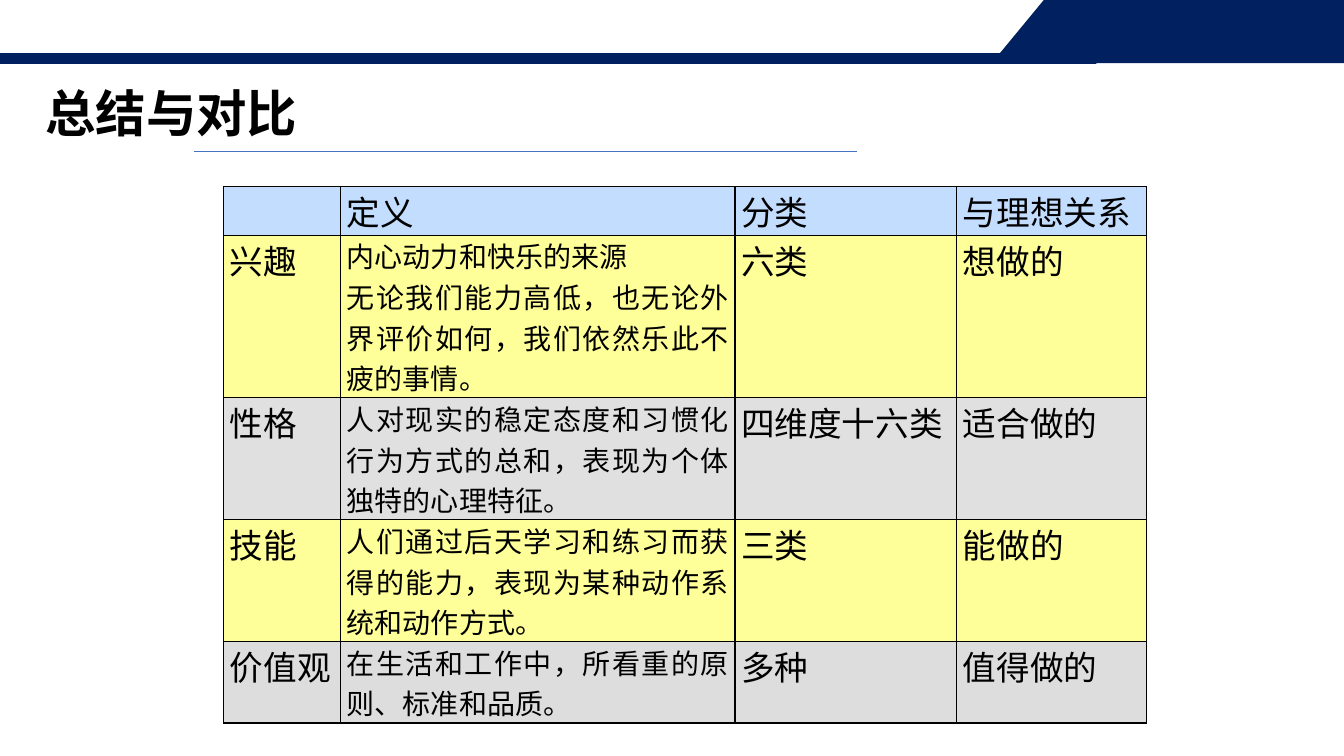
"""Build the summary slide comparing interest, character, skill and values."""
import pptx
import pptx.dml.color
import pptx.enum.shapes
import pptx.enum.text
import pptx.oxml
import pptx.oxml.ns
import pptx.util
from lxml import etree

Inches = pptx.util.Inches
Pt = pptx.util.Pt
RGBColor = pptx.dml.color.RGBColor
qn = pptx.oxml.ns.qn

NAVY = RGBColor(0x00, 0x20, 0x60)
BLUE = RGBColor(0x44, 0x72, 0xC4)
BLACK = RGBColor(0x00, 0x00, 0x00)
SKY = RGBColor(0xC3, 0xDD, 0xFF)
YELLOW = RGBColor(0xFF, 0xFF, 0x99)
GREY = RGBColor(0xE0, 0xE0, 0xE0)
DARK_GREY = RGBColor(0xDD, 0xDD, 0xDD)
BODY_FONT = "Noto Sans CJK SC"
HEADER_FONT = "Cabin"

COLUMN_WIDTHS = (1.16, 3.91, 2.2, 1.88)
DEFINITION_COLUMN = 1
ROWS = (
    (0.43, SKY, ("", "定义", "分类", "与理想关系")),
    (1.41, YELLOW, ("兴趣", "内心动力和快乐的来源\n无论我们能力高低，也无论外界评价如何，我们依然乐此不疲的事情。",
                    "六类", "想做的")),
    (1.2, GREY, ("性格", "人对现实的稳定态度和习惯化行为方式的总和，表现为个体独特的心理特征。",
                 "四维度十六类", "适合做的")),
    (1.2, YELLOW, ("技能", "人们通过后天学习和练习而获得的能力，表现为某种动作系统和动作方式。",
                   "三类", "能做的")),
    (0.8, DARK_GREY, ("价值观", "在生活和工作中，所看重的原则、标准和品质。",
                      "多种", "值得做的")),
)


def write_text(frame, text, size=24, font=BODY_FONT, bold=False, align=None, spacing=None):
    """Fill a text frame, one paragraph for each line of text."""
    for index, line in enumerate(text.split("\n")):
        para = frame.add_paragraph() if index else frame.paragraphs[0]
        para.alignment = align
        para.line_spacing = spacing
        span = para.add_run()
        span.text = line
        span.font.size = Pt(size)
        span.font.bold = bold
        span.font.name = font
        span.font.color.rgb = BLACK
        east_asian = etree.SubElement(span.font._element, qn("a:ea"))
        east_asian.set("typeface", BODY_FONT)


class SlideBuilder:
    """Hold the page and draw each kind of element in its style."""

    def __init__(self, page):
        """Keep the page to draw on."""
        self.page = page

    def paint(self, shape, width):
        """Give a shape the navy fill and outline."""
        shape.shadow.inherit = False
        shape.fill.solid()
        shape.fill.fore_color.rgb = NAVY
        shape.line.color.rgb = NAVY
        shape.line.width = Pt(width)

    def outline(self, points, width):
        """Draw a closed polygon."""
        corners = [(Inches(x), Inches(y)) for x, y in points]
        builder = self.page.shapes.build_freeform(*corners[0], scale=1.0)
        builder.add_line_segments(corners[1:], close=True)
        self.paint(builder.convert_to_shape(), width)

    def bar(self, left, top, width, height, line_width):
        """Draw a solid rectangle."""
        shape = self.page.shapes.add_shape(
            pptx.enum.shapes.MSO_SHAPE.RECTANGLE,
            Inches(left), Inches(top), Inches(width), Inches(height))
        self.paint(shape, line_width)

    def title(self, text, left, top, width, height):
        """Write the bold slide title."""
        box = self.page.shapes.add_textbox(
            Inches(left), Inches(top), Inches(width), Inches(height))
        box.text_frame.word_wrap = True
        box.text_frame.vertical_anchor = pptx.enum.text.MSO_ANCHOR.MIDDLE
        write_text(box.text_frame, text, size=36, bold=True, spacing=0.9)

    def rule(self, left, right, top):
        """Draw a thin horizontal line."""
        line = self.page.shapes.add_connector(
            pptx.enum.shapes.MSO_CONNECTOR.STRAIGHT,
            Inches(left), Inches(top), Inches(right), Inches(top))
        line.line.color.rgb = BLUE
        line.line.width = Pt(0.5)
        etree.SubElement(line._element.spPr, qn("a:effectLst"))

    def border(self, cell):
        """Put a thin black line on all four sides of a cell."""
        properties = cell._tc.get_or_add_tcPr()
        for index, side in enumerate(("lnL", "lnR", "lnT", "lnB")):
            edge = pptx.oxml.parse_xml(
                f'<a:{side} {pptx.oxml.ns.nsdecls("a")} w="{Pt(1)}"><a:solidFill>'
                f'<a:srgbClr val="{BLACK}"/></a:solidFill></a:{side}>')
            properties.insert(index, edge)

    def table(self, left, top):
        """Draw the comparison table."""
        heights = [height for height, _, _ in ROWS]
        table = self.page.shapes.add_table(
            len(ROWS), len(COLUMN_WIDTHS), Inches(left), Inches(top),
            Inches(sum(COLUMN_WIDTHS)), Inches(sum(heights))).table
        for column, width in zip(table.columns, COLUMN_WIDTHS):
            column.width = Inches(width)
        for row_index, (height, color, texts) in enumerate(ROWS):
            table.rows[row_index].height = Inches(height)
            for column_index, text in enumerate(texts):
                cell = table.cell(row_index, column_index)
                cell.margin_left = cell.margin_right = Inches(0.06)
                cell.margin_top = cell.margin_bottom = 0
                cell.fill.solid()
                cell.fill.fore_color.rgb = color
                self.border(cell)
                if text:
                    is_definition = row_index and column_index == DEFINITION_COLUMN
                    write_text(cell.text_frame, text,
                               size=20 if is_definition else 24,
                               font=BODY_FONT if row_index else HEADER_FONT,
                               align=pptx.enum.text.PP_ALIGN.JUSTIFY)


def main():
    """Create the deck and save it."""
    deck = pptx.Presentation()
    deck.slide_width = Inches(13.33)
    deck.slide_height = Inches(7.5)
    builder = SlideBuilder(deck.slides.add_slide(deck.slide_layouts[6]))
    builder.outline([(9.85, 0.62), (10.37, -0.01), (13.33, -0.01), (13.33, 0.62)], 1)
    builder.bar(0, 0.54, 10.87, 0.08, 1.5)
    builder.table(2.22, 1.85)
    builder.title("总结与对比", 0.35, 0.82, 4.92, 0.67)
    builder.rule(1.92, 8.5, 1.5)
    deck.save("out.pptx")


if __name__ == "__main__":
    main()
